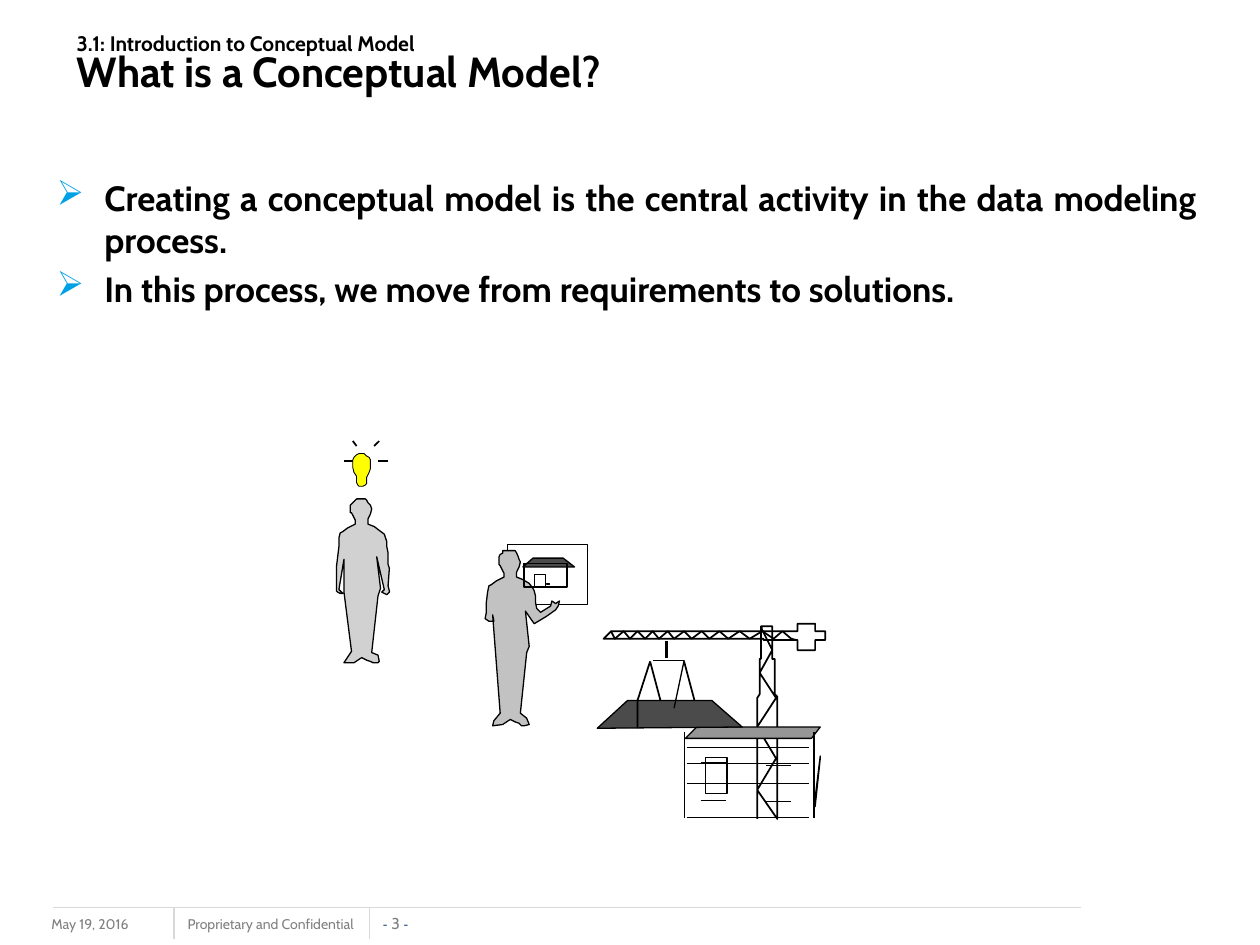
from dataclasses import dataclass
from lxml.etree import SubElement as Sub
from pptx import Presentation
from pptx.dml.color import RGBColor as Rgb
from pptx.enum.shapes import MSO_CONNECTOR as Link, MSO_SHAPE as Form
from pptx.enum.text import MSO_ANCHOR as Anchor, PP_ALIGN as Align
from pptx.oxml.ns import qn
from pptx.util import Inches, Pt


@dataclass(frozen=True)
class Theme:
    """Colours, fonts and type sizes."""
    font: str = "Cabin"
    plain: str = "Arial"
    ink: str = "000000"
    mute: str = "808080"
    navy: str = "1F497D"
    rule: str = "D9D9D9"
    blue: str = "00A1E4"
    bulb: str = "FFFF00"
    man: str = "D1D1D1"
    maker: str = "C2C2C2"
    dark: str = "4B4B4B"
    eave: str = "969696"
    knob: str = "A7A7A7"
    plank: str = "D5D5D5"
    title: int = 24
    body: int = 20
    over: int = 12
    page: int = 9
    foot: int = 8


T = Theme()

BULB = [(30, 35), (31, 34), (31, 29), (32, 27), (33, 25), (34, 22), (34, 15),
        (33, 13), (31, 12), (29, 10), (25, 10), (23, 11), (21, 13), (20, 15),
        (20, 21), (21, 25), (23, 28), (23, 33), (24, 35), (25, 36), (28, 36)]
MAN = [(31, 47), (32, 49), (34, 51), (35, 54), (34, 58), (32, 62), (32, 66),
       (37, 68), (41, 71), (45, 74), (46, 77), (47, 80), (47, 84), (48, 89),
       (48, 98), (49, 101), (48, 115), (49, 119), (49, 120), (48, 121),
       (47, 122), (45, 121), (43, 120), (45, 118), (39, 92), (42, 117),
       (40, 123), (35, 168), (40, 170), (41, 175), (40, 176), (36, 176),
       (34, 175), (31, 174), (27, 172), (21, 176), (13, 176), (15, 173),
       (19, 167), (13, 120), (13, 94), (9, 118), (12, 121), (10, 121),
       (8, 120), (7, 119), (7, 100), (8, 92), (9, 84), (9, 77), (10, 73),
       (12, 72), (16, 69), (22, 66), (22, 63), (19, 57), (18, 57), (18, 51),
       (21, 48), (22, 47), (23, 46), (30, 46)]
MAKER = [(29, 7), (30, 9), (31, 11), (32, 14), (33, 16), (32, 20), (30, 24),
         (30, 28), (35, 30), (40, 33), (43, 37), (44, 39), (45, 43), (45, 48),
         (46, 53), (49, 56), (57, 51), (58, 47), (61, 49), (64, 47), (63, 51),
         (61, 54), (54, 59), (49, 62), (44, 65), (37, 55), (40, 83), (38, 88),
         (33, 136), (38, 140), (40, 145), (36, 146), (34, 146), (32, 144),
         (29, 143), (25, 141), (19, 145), (11, 146), (12, 142), (17, 136),
         (11, 58), (12, 63), (8, 63), (5, 61), (6, 56), (6, 48), (7, 40),
         (8, 35), (10, 34), (14, 31), (20, 28), (20, 25), (17, 19), (16, 18),
         (16, 12), (17, 10), (19, 9), (19, 7), (28, 7)]
TOWER = [(131, 160), (131, 64), (133, 61), (133, 33), (134, 33), (134, 7),
         (143, 7), (143, 33), (145, 33), (145, 61), (147, 63), (147, 160),
         (131, 137), (146, 112), (131, 87), (146, 64), (133, 44), (143, 26),
         (134, 8), (135, 9)]
JIB = [(15, 11), (163, 11), (163, 5), (177, 5), (177, 11), (185, 11), (185, 18),
       (177, 18), (177, 26), (163, 26), (163, 18), (136, 18), (136, 17), (9, 17)]
LACE = [15, 18, 25, 30, 36, 42, 48, 53, 60, 65, 73,
        79, 87, 93, 101, 108, 117, 125, 135, 144, 151, 158]


class Pen:
    """Draws in hundredths of an inch from the corner of a box."""

    def __init__(self, slide, left, top):
        """Keep the shapes and the corner."""
        self.shapes, self.left, self.top = slide.shapes, left, top

    def spot(self, x, y):
        """Return a point of the box as slide lengths."""
        return Inches(self.left + x / 100), Inches(self.top + y / 100)

    def dress(self, shape, fill, width):
        """Set fill and outline, without shadow."""
        shape.shadow.inherit = False
        if fill:
            shape.fill.solid()
            shape.fill.fore_color.rgb = Rgb.from_string(fill)
        else:
            shape.fill.background()
        shape.line.color.rgb = Rgb.from_string(T.ink)
        shape.line.width = Pt(width)

    def free(self, points, fill=None, width=0.75, close=True):
        """Draw an outline through the points."""
        form = self.shapes.build_freeform(*points[0], scale=Inches(0.01))
        form.add_line_segments(points[1:], close=close)
        self.dress(form.convert_to_shape(*self.spot(0, 0)), fill, width)

    def rect(self, x, y, wide, high, fill=None, width=0.75):
        """Draw a rectangle."""
        size = Inches(wide / 100), Inches(high / 100)
        self.dress(self.shapes.add_shape(Form.RECTANGLE, *self.spot(x, y), *size),
                   fill, width)

    def line(self, x1, y1, x2, y2, width=0.75, color=T.ink):
        """Draw a straight line."""
        line = self.shapes.add_connector(
            Link.STRAIGHT, *self.spot(x1, y1), *self.spot(x2, y2))
        line.line.color.rgb = Rgb.from_string(color)
        line.line.width = Pt(width)
        Sub(line._element.spPr, qn("a:effectLst"))


def add_run(para, text, size, color=T.ink, bold=False, font=T.font):
    """Add one styled run."""
    run = para.add_run()
    run.text = text
    run.font.name, run.font.size, run.font.bold = font, Pt(size), bold
    run.font.color.rgb = Rgb.from_string(color)


def add_text(slide, box, anchor=Anchor.TOP):
    """Add a wrapped text box and return its frame."""
    frame = slide.shapes.add_textbox(*map(Inches, box)).text_frame
    frame.word_wrap, frame.vertical_anchor = True, anchor
    return frame


def add_title(slide, box):
    """Place the section name above the title."""
    para = add_text(slide, box, Anchor.MIDDLE).paragraphs[0]
    para.line_spacing = 0.8
    add_run(para, "3.1: Introduction to Conceptual Model ", T.over, bold=True)
    para.add_line_break()
    Sub(para._p[-1], qn("a:rPr"), sz=str(T.over * 100))
    add_run(para, "What is a Conceptual Model?", T.title, bold=True)


def add_body(slide, box, lines):
    """Place the justified bullet list."""
    frame = add_text(slide, box)
    for i, text in enumerate(lines):
        para = frame.add_paragraph() if i else frame.paragraphs[0]
        para.alignment, para.space_before = Align.JUSTIFY, Pt(T.body * 0.2)
        props = para._p.get_or_add_pPr()
        props.set("marL", str(Inches(0.38)))
        props.set("indent", str(Inches(-0.38)))
        Sub(Sub(props, qn("a:buClr")), qn("a:srgbClr"), val=T.blue)
        Sub(props, qn("a:buChar"), char="➢")
        add_run(para, text, T.body, bold=True)


def add_foot(slide, left, top):
    """Place the footer rules and texts."""
    pen = Pen(slide, left, top)
    pen.line(816, 0, 0, 0, color=T.rule)
    for x in (96, 251):
        pen.line(x, 0, x, 25, color=T.rule)
    for x, wide, text in ((-0.11, 1.33, "May 19, 2016"),
                          (0.97, 1.57, "Proprietary and Confidential")):
        frame = add_text(slide, (left + x, top + 0.02, wide, 0.25))
        add_run(frame.paragraphs[0], text, T.foot, T.mute)
    frame = add_text(slide, (left + 2.59, top + 0.05, 0.26, 0.15), Anchor.BOTTOM)
    frame.margin_left = frame.margin_right = 0
    frame.margin_top = frame.margin_bottom = 0
    para = frame.paragraphs[0]
    para.alignment = Align.CENTER
    add_run(para, "- ", T.foot, T.navy, font=T.plain)
    add_run(para, "3 ", T.page, T.mute)
    add_run(para, "-", T.foot, T.navy, font=T.plain)


def add_idea(slide, left, top):
    """Draw the man with a light bulb."""
    pen = Pen(slide, left, top)
    pen.free(BULB, T.bulb, 0.5)
    pen.free(MAN, T.man)
    for ray in ((20, 16, 13, 16), (48, 16, 40, 16), (23, 4, 20, 0), (37, 4, 41, 0)):
        pen.line(*ray, width=1)


def add_plan(slide, left, top):
    """Draw the man showing a house plan."""
    pen = Pen(slide, left, top)
    pen.rect(23, 2, 63, 48, width=0.5)
    pen.rect(54, 33, 2, 1, T.knob)
    pen.free([(76, 20), (35, 20), (43, 13), (67, 13)], T.dark)
    pen.free(MAKER, T.maker)
    pen.rect(36, 17, 34, 19)
    pen.rect(44, 26, 9, 10)


def add_site(slide, left, top):
    """Draw the crane lowering a roof on the house."""
    pen = Pen(slide, left, top)
    pen.free(TOWER, width=1, close=False)
    pen.free(JIB, width=1)
    lace = [(x, 17 if i % 2 else 11) for i, x in enumerate(LACE)]
    pen.free(lace + [(162, 18)], width=1, close=False)
    for y in (103, 116, 132, 159):
        pen.line(75, y, 172, y, 0.36)
    for x, y, width in ((138, 117, 0.25), (86, 115, 0.25),
                        (138, 146, 0.12), (86, 145, 0.25)):
        pen.line(x, y, x + 20, y, width)
    pen.free([(174, 96), (74, 96), (83, 87), (181, 87)], T.eave)
    for x in (73, 46):
        pen.free([(x, 35), (x + 8, 65), (x + 10, 74)], width=1, close=False)
    pen.free([(119, 87), (4, 88), (28, 66), (95, 66)], T.dark)
    pen.free([(46, 35), (36, 66), (36, 88)], width=1, close=False)
    pen.line(59, 19, 59, 32, 2)
    pen.free([(177, 150), (181, 112), (181, 110), (176, 151)], T.plank)
    for x in (73, 176):
        pen.line(x, 91, x, 159)
    pen.rect(90, 111, 17, 29)
    pen.line(48, 34, 73, 34)
    pen.line(73, 34, 65, 72)


def main():
    """Build and save the slide."""
    deck = Presentation()
    deck.slide_width, deck.slide_height = Inches(10), Inches(7.5)
    slide = deck.slides.add_slide(deck.slide_layouts[6])
    add_foot(slide, 0.42, 7.2)
    add_body(slide, (0.35, 1.35, 9.25, 1.5), (
        "Creating a conceptual model is the central activity in the data modeling process.",
        "In this process, we move from requirements to solutions."))
    add_idea(slide, 2.6, 3.5)
    add_plan(slide, 3.8, 4.3)
    add_site(slide, 4.7, 4.9)
    add_title(slide, (0.51, 0.13, 8.92, 0.78))
    deck.save("out.pptx")


if __name__ == "__main__":
    main()
